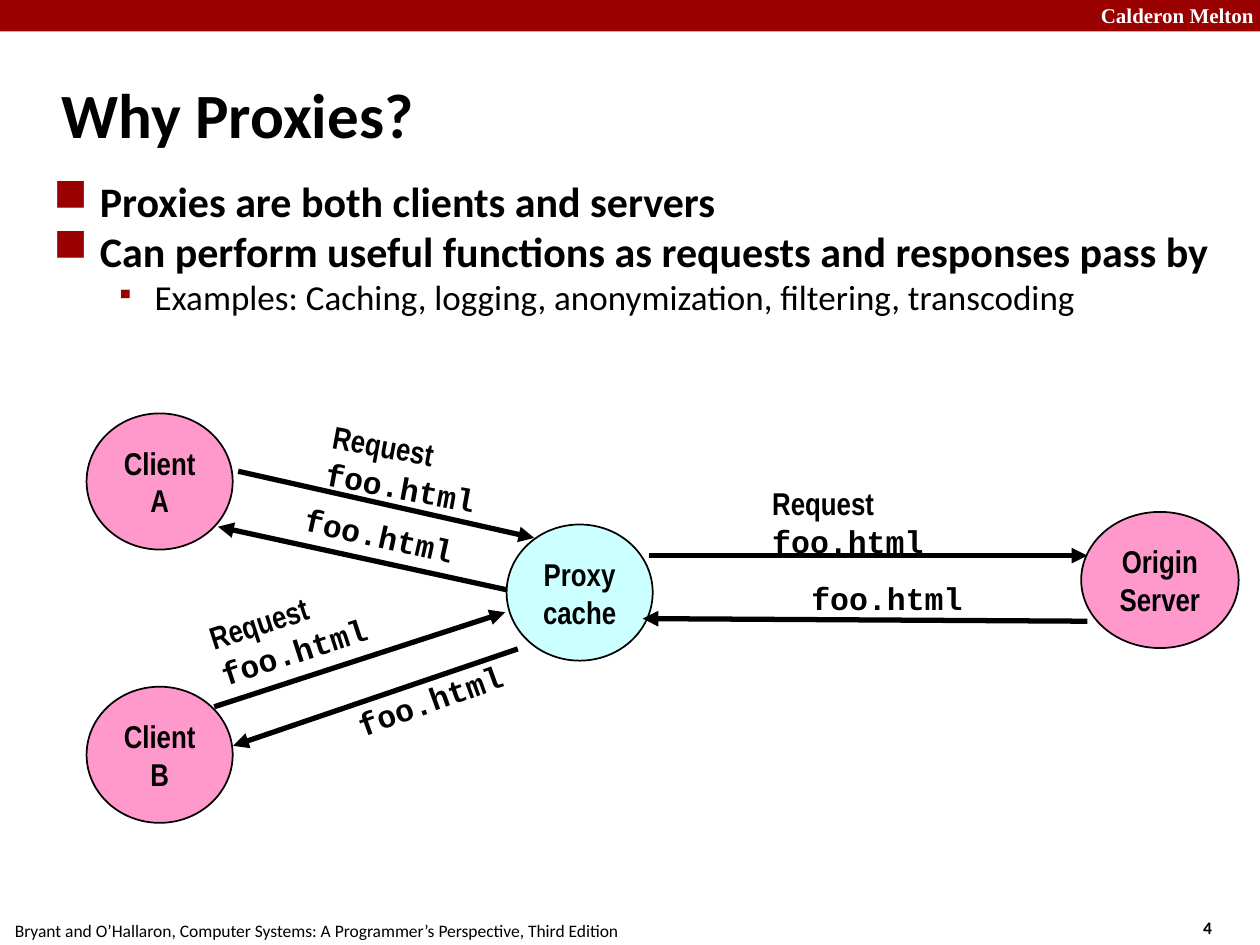
from dataclasses import dataclass

from lxml import etree
from pptx import Presentation
from pptx.dml.color import RGBColor
from pptx.enum.shapes import MSO_CONNECTOR, MSO_SHAPE
from pptx.enum.text import MSO_ANCHOR, PP_ALIGN
from pptx.oxml.ns import qn
from pptx.util import Pt

RECT, OVAL = MSO_SHAPE.RECTANGLE, MSO_SHAPE.OVAL
STRAIGHT = MSO_CONNECTOR.STRAIGHT
TOP, MIDDLE = MSO_ANCHOR.TOP, MSO_ANCHOR.MIDDLE
CENTER = PP_ALIGN.CENTER

RED = RGBColor(0x99, 0x00, 0x00)
PINK = RGBColor(0xFF, 0x99, 0xCC)
CYAN = RGBColor(0xCC, 0xFF, 0xFF)
BLACK = RGBColor(0, 0, 0)
WHITE = RGBColor(0xFF, 0xFF, 0xFF)

BODY, NARROW, MONO, SERIF = "Calibri", "Arial Narrow", "Courier New", "Times New Roman"
NODE_H = 77.8
LABEL_H = 28.8
FILE = "foo.html"


@dataclass
class Node:
    text: str
    x: float
    y: float
    w: float = 83.5
    fill: RGBColor = PINK


@dataclass
class Message:
    """An arrow from (x1, y1) to (x2, y2) and its label."""
    x1: float
    y1: float
    x2: float
    y2: float
    label_x: float
    label_y: float
    label_w: float
    angle: float = 0
    request: bool = False


@dataclass
class Bullet:
    text: str
    char: str = "■"
    char_percent: int = 110
    size: float = 24
    bold: bool = True
    level: int = 0
    margin: float = 27
    hang: float = 26.6


NODES = [
    Node("Client\nA", 49.5, 236.2),
    Node("Client\nB", 49.5, 392.4),
    Node("Proxy\ncache", 289.5, 299.7, fill=CYAN),
    Node("Origin\nServer", 617.8, 292.5, w=90),
]

MESSAGES = [
    # Client A and proxy
    Message(136.1, 269.3, 305.3, 307.4, 182.2, 248.4, 162.7, 10.6, True),
    Message(289.4, 337, 124.6, 301, 166.3, 293, 115.2, 12.5),
    # Client B and proxy
    Message(122.4, 403.9, 288.7, 349.9, 109.4, 327.6, 162.7, -18, True),
    Message(295.9, 370.8, 133.2, 426.2, 195.1, 383.8, 110.9, -19.9),
    # Proxy and origin server
    Message(370.8, 317.5, 621.4, 317.5, 434.2, 272.9, 162.7, 0, True),
    Message(621.4, 355, 367.2, 353.5, 456.5, 327.6, 121.7),
]

BULLETS = [
    Bullet("Proxies are both clients and servers"),
    Bullet("Can perform useful functions as requests and responses pass by"),
    Bullet("Examples: Caching, logging, anonymization, filtering, transcoding",
           char="▪", char_percent=75, size=20, bold=False, level=1,
           margin=58.3, hang=22.3),
]


def style(r, font: str, size: float, bold: bool = True, color: RGBColor = BLACK) -> None:
    r.font.name, r.font.size, r.font.bold = font, Pt(size), bold
    r.font.color.rgb = color


def add_box(s, x: float, y: float, w: float, h: float, anchor=TOP, wrap: bool = True):
    sp = s.shapes.add_textbox(Pt(x), Pt(y), Pt(w), Pt(h))
    tf = sp.text_frame
    tf.word_wrap, tf.vertical_anchor = wrap, anchor
    return sp


def add_line_of_text(s, text: str, x: float, y: float, w: float, h: float, font: str,
                     size: float, bold: bool = True, color: RGBColor = BLACK,
                     anchor=TOP, wrap: bool = False) -> None:
    p = add_box(s, x, y, w, h, anchor, wrap).text_frame.paragraphs[0]
    p.text = text
    style(p.runs[0], font, size, bold, color)


def add_bullets(s, bullets: list[Bullet]) -> None:
    tf = add_box(s, 23, 96.5, 679, 130.3).text_frame
    tf.text = "\n".join(b.text for b in bullets)
    for p, b in zip(tf.paragraphs, bullets):
        p.level = b.level
        style(p.runs[0], BODY, b.size, b.bold)
        pPr = p._p.get_or_add_pPr()
        pPr.set("marL", str(Pt(b.margin)))
        pPr.set("indent", str(-Pt(b.hang)))
        color = etree.SubElement(pPr, qn("a:buClr"))
        etree.SubElement(color, qn("a:srgbClr"), val=str(RED))
        etree.SubElement(pPr, qn("a:buSzPct"), val=str(b.char_percent * 1000))
        etree.SubElement(pPr, qn("a:buChar"), char=b.char)


def add_node(s, node: Node) -> None:
    sp = s.shapes.add_shape(OVAL, Pt(node.x), Pt(node.y), Pt(node.w), Pt(NODE_H))
    sp.shadow.inherit = False
    sp.fill.solid()
    sp.fill.fore_color.rgb = node.fill
    sp.line.color.rgb, sp.line.width = BLACK, Pt(1)
    tf = sp.text_frame
    tf.vertical_anchor = MIDDLE
    tf.text = node.text
    for p in tf.paragraphs:
        p.alignment = CENTER
        style(p.runs[0], NARROW, 18)


def add_message(s, m: Message) -> None:
    line = s.shapes.add_connector(STRAIGHT, Pt(m.x1), Pt(m.y1), Pt(m.x2), Pt(m.y2))
    line.line.color.rgb, line.line.width = BLACK, Pt(3)
    etree.SubElement(line.line._get_or_add_ln(), qn("a:tailEnd"), type="triangle")
    etree.SubElement(line._element.spPr, qn("a:effectLst"))

    label = add_box(s, m.label_x, m.label_y, m.label_w, LABEL_H)
    label.rotation = m.angle
    p = label.text_frame.paragraphs[0]
    parts = [("Request ", NARROW)] if m.request else []
    for text, font in parts + [(FILE, MONO)]:
        r = p.add_run()
        r.text = text
        style(r, font, 18)


def main() -> None:
    prs = Presentation()
    prs.slide_width, prs.slide_height = Pt(720), Pt(540)
    s = prs.slides.add_slide(prs.slide_layouts[6])

    # Header band and footer
    band = s.shapes.add_shape(RECT, 0, 0, prs.slide_width, Pt(18))
    band.shadow.inherit = False
    band.fill.solid()
    band.fill.fore_color.rgb = RED
    band.line.fill.background()
    add_line_of_text(s, "Calderon Melton", 622, -2, 103, 21.6, SERIF, 12, color=WHITE)
    add_line_of_text(s, "4", 680.4, 520.6, 20, 19.4, BODY, 10)
    add_line_of_text(s, "Bryant and O’Hallaron, Computer Systems: A Programmer’s "
                     "Perspective, Third Edition", 1.4, 522, 359.3, 18.7, BODY, 10, bold=False)

    # Title and bullets
    add_line_of_text(s, "Why Proxies?", 28.1, 34.6, 597.6, 59.8, BODY, 36,
                     anchor=MIDDLE, wrap=True)
    add_bullets(s, BULLETS)

    # Diagram
    for node in NODES:
        add_node(s, node)
    for message in MESSAGES:
        add_message(s, message)

    prs.save("out.pptx")


if __name__ == "__main__":
    main()
